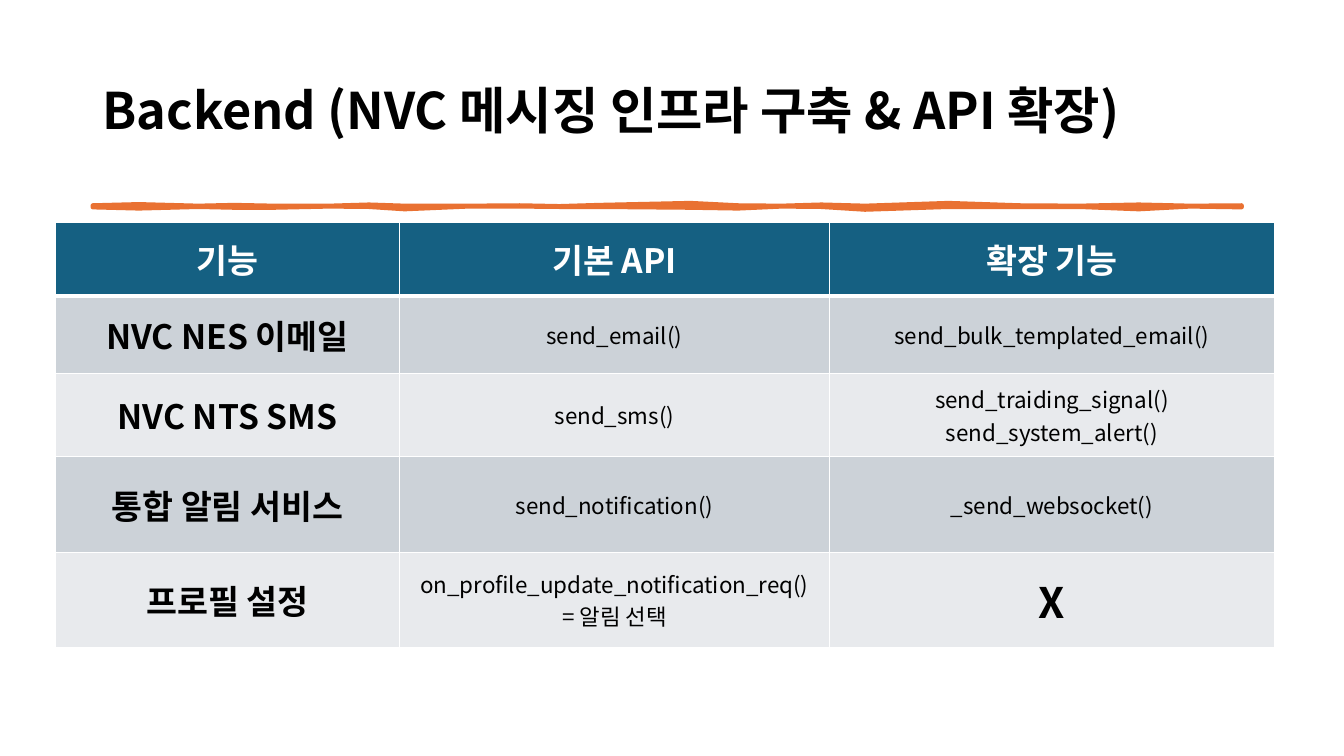
import pptx
import pptx.util
import pptx.dml.color
import pptx.enum.text
import pptx.oxml
import pptx.oxml.ns
from pptx.util import Cm

FONT = "Noto Sans CJK KR"


def color(hex_text):
    return pptx.dml.color.RGBColor.from_string(hex_text)


def add_run(paragraph, text, size, bold, hex_text):
    run = paragraph.add_run()
    run.text = text
    run.font.name = FONT
    run.font.size = pptx.util.Pt(size)
    run.font.bold = bold
    run.font.color.rgb = color(hex_text)
    east_asian = pptx.oxml.parse_xml(
        f'<a:ea {pptx.oxml.ns.nsdecls("a")} typeface="{FONT}"/>')
    run.font._element.find(pptx.oxml.ns.qn("a:latin")).addnext(east_asian)


deck = pptx.Presentation()
deck.slide_width = Cm(33.87)
deck.slide_height = Cm(19.05)
slide = deck.slides.add_slide(deck.slide_layouts[5])

headline = slide.shapes.title
headline.left, headline.top = Cm(2.33), Cm(1.01)
headline.width, headline.height = Cm(29.21), Cm(3.68)
headline.text_frame.word_wrap = True
headline.text_frame.auto_size = pptx.enum.text.MSO_AUTO_SIZE.NONE
headline.text_frame.vertical_anchor = pptx.enum.text.MSO_ANCHOR.MIDDLE
headline_line = headline.text_frame.paragraphs[0]
headline_line.alignment = pptx.enum.text.PP_ALIGN.LEFT
headline_line.line_spacing = 0.9
add_run(headline_line, "Backend (NVC 메시징 인프라 구축 & API 확장)", 36, True, "000000")

brush_profile = [
    (2.34, 5.18, 5.22), (3.5, 5.15, 5.25), (5.0, 5.19, 5.21),
    (5.9, 5.17, 5.23), (6.9, 5.19, 5.23), (8.3, 5.19, 5.2),
    (9.3, 5.16, 5.21), (10.2, 5.19, 5.27), (11.8, 5.19, 5.2),
    (13.1, 5.18, 5.2), (14.1, 5.2, 5.21), (15.1, 5.17, 5.21),
    (17.4, 5.12, 5.23), (18.6, 5.18, 5.25), (19.7, 5.19, 5.2),
    (20.7, 5.16, 5.21), (21.8, 5.19, 5.28), (23.9, 5.12, 5.21),
    (25.7, 5.18, 5.21), (27.2, 5.19, 5.21), (28.7, 5.16, 5.27),
    (30.0, 5.19, 5.2), (31.29, 5.18, 5.22),
]
upper_edge = [(Cm(x), Cm(top)) for x, top, bottom in brush_profile]
lower_edge = [(Cm(x), Cm(bottom)) for x, top, bottom in reversed(brush_profile)]
brush_builder = slide.shapes.build_freeform(*upper_edge[0])
brush_builder.add_line_segments(upper_edge[1:] + lower_edge, close=True)
brush_stroke = brush_builder.convert_to_shape()
brush_stroke.shadow.inherit = False
brush_stroke.fill.solid()
brush_stroke.fill.fore_color.rgb = color("E97132")
brush_stroke.line.color.rgb = color("E97132")
brush_stroke.line.width = pptx.util.Pt(3.25)

features = [
    ["기능", "기본 API", "확장 기능"],
    ["NVC NES 이메일", "send_email()", "send_bulk_templated_email()"],
    ["NVC NTS SMS", "send_sms()", "send_traiding_signal()\nsend_system_alert()"],
    ["통합 알림 서비스", "send_notification()", "_send_websocket()"],
    ["프로필 설정", "on_profile_update_notification_req()\n= 알림 선택", "X"],
]
column_widths = [8.66, 10.85, 11.2]
row_heights = [1.85, 1.96, 2.01, 2.41, 2.41]

feature_table = slide.shapes.add_table(
    len(row_heights), len(column_widths), Cm(1.4), Cm(5.61),
    Cm(sum(column_widths)), Cm(sum(row_heights))).table
for column, width in zip(feature_table.columns, column_widths):
    column.width = Cm(width)
for row, height in zip(feature_table.rows, row_heights):
    row.height = Cm(height)

for row_index, feature in enumerate(features):
    if row_index == 0:
        row_fill, text_color = "156082", "FFFFFF"
    else:
        row_fill, text_color = ("E8EAED", "CCD2D8")[row_index % 2], "000000"
    for column_index, entry in enumerate(feature):
        cell = feature_table.cell(row_index, column_index)
        cell.fill.solid()
        cell.fill.fore_color.rgb = color(row_fill)
        cell.vertical_anchor = pptx.enum.text.MSO_ANCHOR.MIDDLE
        cell.margin_left = cell.margin_right = Cm(0.43)
        cell.margin_top = cell.margin_bottom = Cm(0.23)

        if entry == "X":
            size, bold = 30, True
        elif row_index == 0 or column_index == 0:
            size, bold = 24, True
        else:
            size, bold = 16, False
        for line_index, wording in enumerate(entry.split("\n")):
            if line_index == 0:
                cell_line = cell.text_frame.paragraphs[0]
            else:
                cell_line = cell.text_frame.add_paragraph()
            cell_line.alignment = pptx.enum.text.PP_ALIGN.CENTER
            add_run(cell_line, wording, size, bold, text_color)

        cell_properties = cell._tc.get_or_add_tcPr()
        for position, side in enumerate(["lnL", "lnR", "lnT", "lnB"]):
            heavy = (row_index, side) in [(0, "lnB"), (1, "lnT")]
            border_width = pptx.util.Pt(3 if heavy else 1)
            border = pptx.oxml.parse_xml(
                f'<a:{side} {pptx.oxml.ns.nsdecls("a")} w="{border_width}">'
                '<a:solidFill><a:srgbClr val="FFFFFF"/></a:solidFill>'
                f'</a:{side}>')
            cell_properties.insert(position, border)

deck.save("out.pptx")
